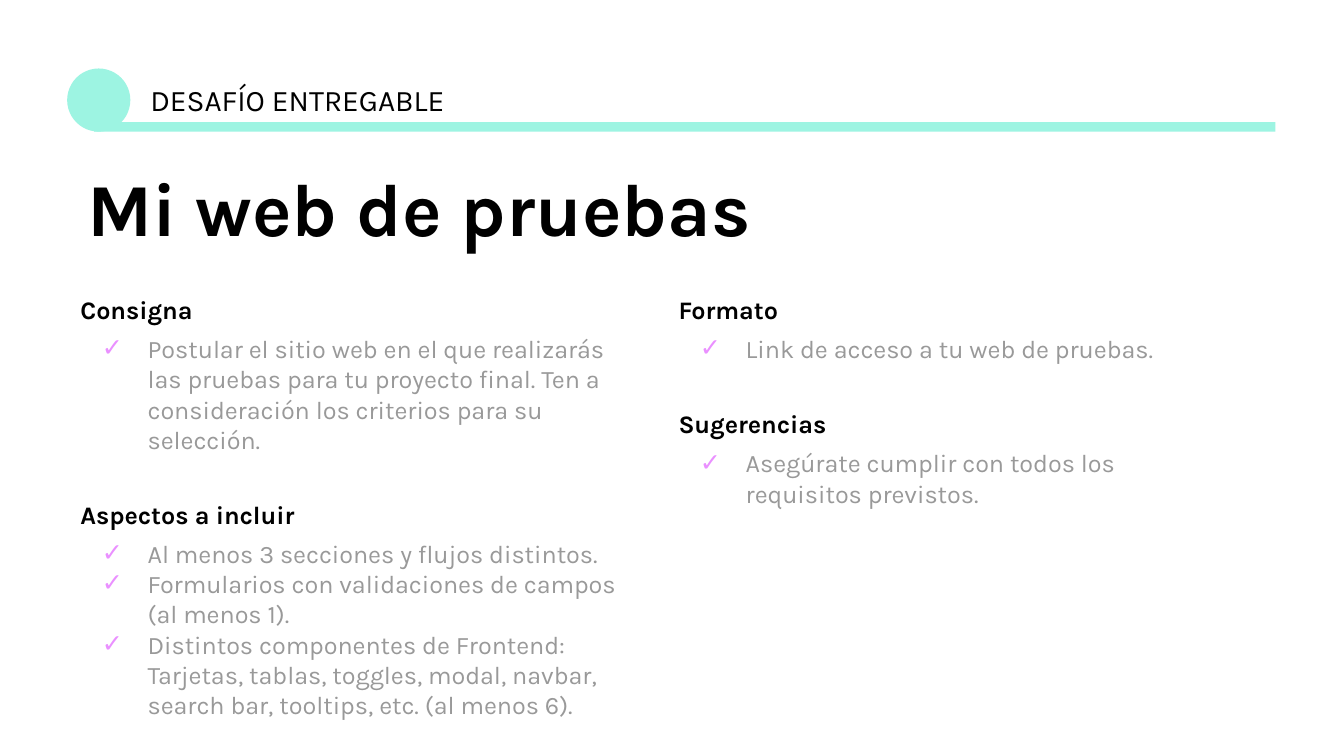
from lxml.etree import SubElement
from pptx import Presentation
from pptx.dml.color import RGBColor
from pptx.enum.shapes import MSO_SHAPE as Shape
from pptx.enum.text import MSO_ANCHOR as Anchor, PP_ALIGN as Align
from pptx.oxml.ns import qn
from pptx.util import Inches, Pt

WIDTH = 10
HEIGHT = WIDTH * 9 / 16
FONT = "Karla"
MINT, PINK, BLACK, GREY = "9DF4E2", "EA90FF", "000000", "999999"
BODY_SIZE = 13.5
COLUMN_LEFT, COLUMN_STEP, COLUMN_TOP, COLUMN_WIDTH = 0.5, 4.45, 2.09, 4.19
HEADING_GAP, ITEM_GAP = 24, 4.8

LABEL = "DESAFÍO ENTREGABLE"
TITLE = "Mi web de pruebas"
COLUMNS = [
    (3.4, [
        ("Consigna", [
            "Postular el sitio web en el que realizarás las pruebas para tu "
            "proyecto final. Ten a consideración los criterios para su selección.",
        ]),
        ("Aspectos a incluir", [
            "Al menos 3 secciones y flujos distintos.",
            "Formularios con validaciones de campos (al menos 1).",
            "Distintos componentes de Frontend: Tarjetas, tablas, toggles, modal, "
            "navbar, search bar, tooltips, etc. (al menos 6).",
        ]),
    ]),
    (1.81, [
        ("Formato", ["Link de acceso a tu web de pruebas."]),
        ("Sugerencias", ["Asegúrate cumplir con todos los requisitos previstos."]),
    ]),
]


def color(value):
    return RGBColor.from_string(value)


def add_block(page, kind, *place):
    block = page.shapes.add_shape(kind, *map(Inches, place))
    block.shadow.inherit = False
    block.fill.solid()
    block.fill.fore_color.rgb = color(MINT)
    block.line.fill.background()


def prepare(frame):
    frame.word_wrap = True
    frame.vertical_anchor = Anchor.TOP
    frame.margin_left = frame.margin_right = Inches(0.1)
    frame.margin_top = frame.margin_bottom = Inches(0.1)
    return frame


def add_box(page, *place):
    return prepare(page.shapes.add_textbox(*map(Inches, place)).text_frame)


def write(para, text, size, tone=BLACK, bold=False):
    para.alignment = Align.LEFT
    span = para.add_run()
    span.text = text
    span.font.name = FONT
    span.font.size = Pt(size)
    span.font.bold = bold
    span.font.color.rgb = color(tone)


def add_check(para):
    props = para._p.get_or_add_pPr()
    props.set("marL", str(Inches(0.5)))
    props.set("indent", str(Inches(-0.34)))
    tint = SubElement(props, qn("a:buClr"))
    SubElement(tint, qn("a:srgbClr")).set("val", PINK)
    SubElement(props, qn("a:buFont")).set("typeface", FONT)
    SubElement(props, qn("a:buChar")).set("char", "✓")


def fill_column(frame, sections):
    for section, (heading, items) in enumerate(sections):
        para = frame.add_paragraph() if section else frame.paragraphs[0]
        if section:
            para.space_before = Pt(HEADING_GAP)
        write(para, heading, BODY_SIZE, bold=True)
        for row, item in enumerate(items):
            para = frame.add_paragraph()
            add_check(para)
            para.space_before = Pt(0 if row else ITEM_GAP)
            write(para, item, BODY_SIZE, GREY)


def main():
    """Build the assignment slide and save it."""
    deck = Presentation()
    deck.slide_width, deck.slide_height = Inches(WIDTH), Inches(HEIGHT)
    page = deck.slides.add_slide(deck.slide_layouts[5])

    title = page.shapes.title
    title.left, title.top = Inches(0.55), Inches(1.18)
    title.width, title.height = Inches(7.99), Inches(0.81)
    para = prepare(title.text_frame).paragraphs[0]
    para.line_spacing = 0.9
    para.space_before = Pt(0)
    write(para, TITLE, 40, bold=True)

    add_block(page, Shape.OVAL, 0.5, 0.51, 0.47, 0.47)
    add_block(page, Shape.RECTANGLE, 0.7, 0.91, 8.79, 0.07)
    write(add_box(page, 1.02, 0.51, 2.69, 0.47).paragraphs[0], LABEL, 16)

    for index, (height, sections) in enumerate(COLUMNS):
        left = COLUMN_LEFT + index * COLUMN_STEP
        fill_column(add_box(page, left, COLUMN_TOP, COLUMN_WIDTH, height), sections)

    deck.save("out.pptx")


if __name__ == "__main__":
    main()
